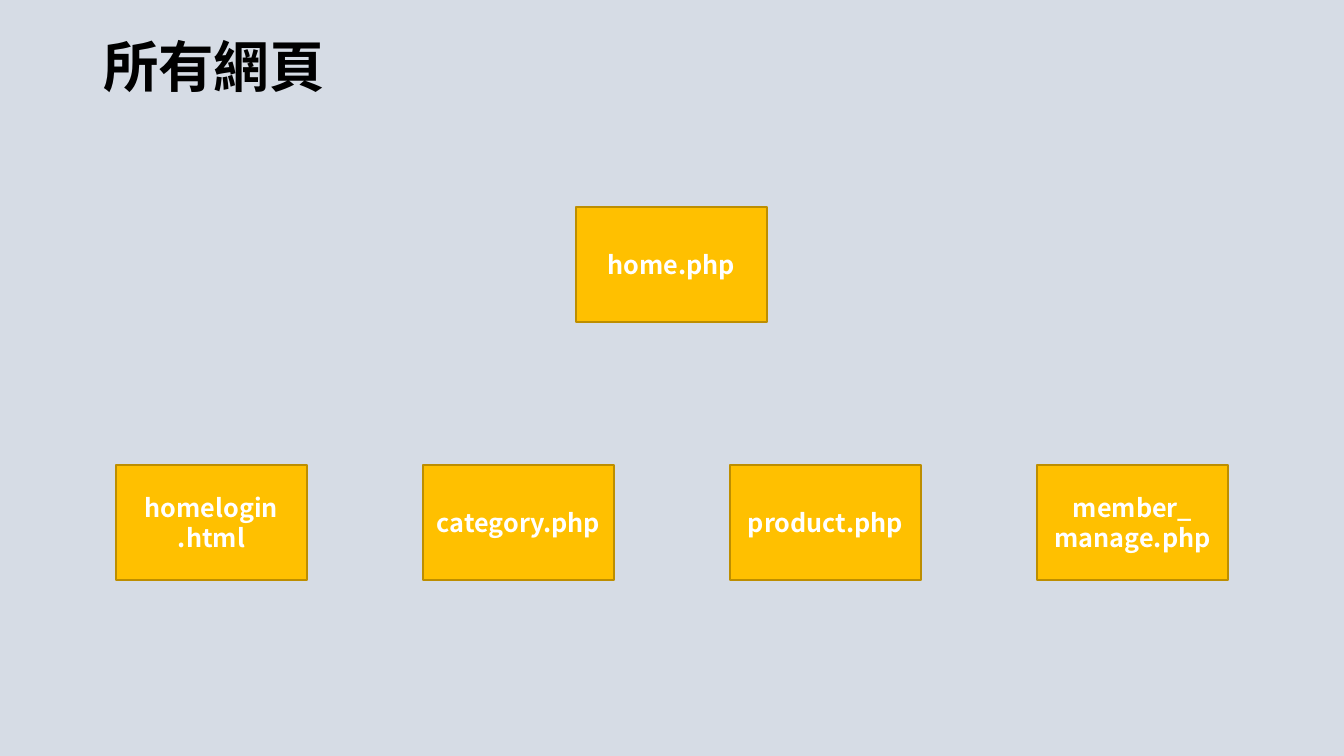
import pptx
import pptx.util
import pptx.dml.color
import pptx.enum.shapes
import pptx.enum.text
import pptx.oxml
import pptx.oxml.ns
import lxml.etree

RGB = pptx.dml.color.RGBColor
ALIGN = pptx.enum.text.PP_ALIGN
ANCHOR = pptx.enum.text.MSO_ANCHOR

BACK = RGB(0xD6, 0xDC, 0xE5)
GOLD = RGB(0xFF, 0xC0, 0x00)
EDGE = RGB(0xBD, 0x8E, 0x00)
WHITE = RGB(0xFF, 0xFF, 0xFF)
BLACK = RGB(0x00, 0x00, 0x00)
FONT = "Noto Sans CJK SC"

SCALE = 914400 / 100.8  # EMU in one px
CARD_W, CARD_H = 191, 115
ROW_X, ROW_Y, STEP = 116, 465, 307
PAGES = ["homelogin\n.html", "category.php", "product.php",
         "member_\nmanage.php"]


def px(count):
    return pptx.util.Emu(round(count * SCALE))


def write(frame, text, size=18, color=WHITE, align=ALIGN.CENTER,
          anchor=ANCHOR.MIDDLE, space=None):
    """Fill a text frame, one paragraph for each line of text."""
    frame.text = text
    frame.word_wrap = True
    frame.auto_size = pptx.enum.text.MSO_AUTO_SIZE.NONE
    frame.vertical_anchor = anchor
    for para in frame.paragraphs:
        para.alignment = align
        para.line_spacing = space
        for run in para.runs:
            font = run.font
            font.name, font.size, font.bold = FONT, pptx.util.Pt(size), True
            font.color.rgb = color
            # East Asian glyphs take their own font entry
            asian = lxml.etree.Element(pptx.oxml.ns.qn("a:ea"), typeface=FONT)
            font._element.find(pptx.oxml.ns.qn("a:latin")).addnext(asian)


def add_title(slide, text):
    title = slide.shapes.title
    title.left, title.top = px(93), px(40)
    title.width, title.height = px(1159), px(69)
    write(title.text_frame, text, size=39.6, color=BLACK,
          align=ALIGN.LEFT, anchor=ANCHOR.TOP, space=0.8)


def add_card(slide, text, left, top):
    card = slide.shapes.add_shape(
        pptx.enum.shapes.MSO_SHAPE.RECTANGLE,
        px(left), px(top), px(CARD_W), px(CARD_H))
    card.shadow.inherit = False
    card.fill.solid()
    card.fill.fore_color.rgb = GOLD
    card.line.color.rgb = EDGE
    card.line.width = pptx.util.Pt(1)
    write(card.text_frame, text)


def main():
    deck = pptx.Presentation()
    deck.slide_width, deck.slide_height = px(1344), px(756)
    slide = deck.slides.add_slide(deck.slide_layouts[5])
    slide.background.fill.solid()
    slide.background.fill.fore_color.rgb = BACK

    # Home page above the row of other pages
    add_card(slide, "home.php", 576, 207)
    for spot, page in enumerate(PAGES):
        add_card(slide, page, ROW_X + spot * STEP, ROW_Y)

    add_title(slide, "所有網頁")
    deck.save("out.pptx")


if __name__ == "__main__":
    main()
